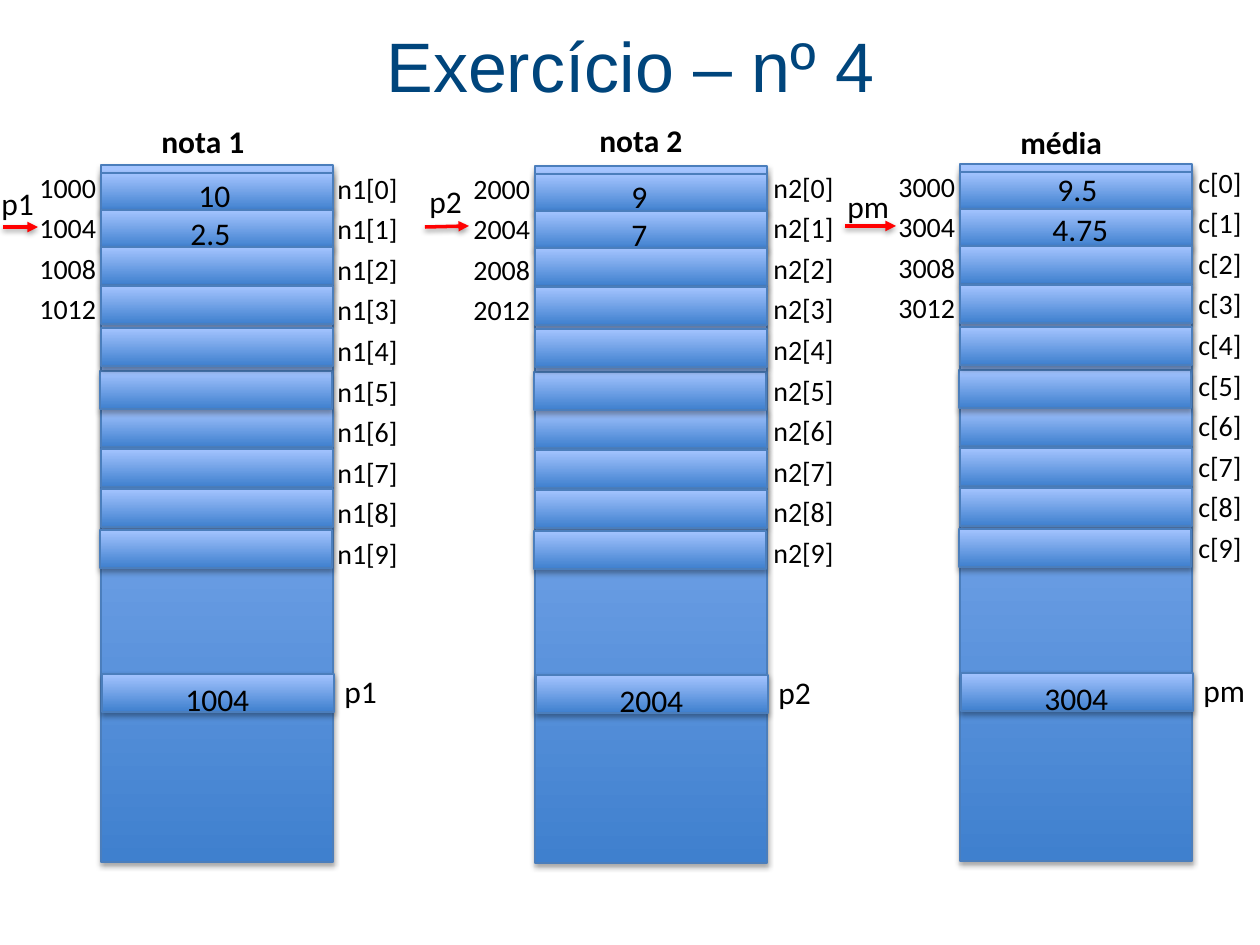
from dataclasses import dataclass

from lxml import etree
from pptx import Presentation
from pptx.dml.color import RGBColor
from pptx.enum.shapes import MSO_CONNECTOR, MSO_SHAPE
from pptx.enum.text import MSO_ANCHOR, PP_ALIGN
from pptx.oxml.ns import qn
from pptx.util import Emu, Pt

RECT = MSO_SHAPE.RECTANGLE
STRAIGHT = MSO_CONNECTOR.STRAIGHT
TOP, MIDDLE, BOTTOM = MSO_ANCHOR.TOP, MSO_ANCHOR.MIDDLE, MSO_ANCHOR.BOTTOM
LEFT, CENTER = PP_ALIGN.LEFT, PP_ALIGN.CENTER

PX = 914400 / 126
BLACK, NAVY, RED = "000000", "00457C", "FF0000"
DARK_BLUE, LIGHT_BLUE, EDGE = "3F80CE", "A4C4FF", "4B7EBC"

COLUMN_W, COLUMN_H, CELL_H = 232, 697, 38
LINE_H = 50
# (left, top) of the cells inside a column, from back to front
CELLS = [(0, 8), (0, 45), (0, 82), (0, 121), (0, 244), (-1, 206),
         (0, 163), (0, 284), (0, 324), (-1, 365), (1, 509)]


def px(n):
    return Emu(round(n * PX))


def rgb(value):
    return RGBColor.from_string(value)


@dataclass
class Column:
    heading: str
    heading_at: tuple
    array: str
    array_at: tuple
    pointer: str
    pointer_at: tuple
    arrow: tuple
    address: int
    at: tuple
    values: list  # boxes: (left, top, width, [(text, indent), ...])


COLUMNS = [
    Column("nota 2", (587, 115), "n2", (761, 164), "p2", (417, 176),
           (425, 227, 469, 226), 2000, (535, 166),
           [(583, 171, 122, [("9", 36), ("7", 36)])]),
    Column("nota 1", (149, 116), "n1", (325, 165), "p1", (-11, 178),
           (3, 227, 38, 227), 1000, (101, 165),
           [(150, 170, 122, [("10", 36), ("2.5", 28)])]),
    Column("média", (1008, 117), "c", (1186, 159), "pm", (835, 181),
           (845, 226, 896, 226), 3000, (960, 164),
           [(1009, 164, 107, [("9.5", 36)]),
            (1012, 204, 120, [("4.75", 28)])]),
]


class Slide:
    def __init__(self, prs, font="Calibri"):
        self.s = prs.slides.add_slide(prs.slide_layouts[6])
        self.font = font
        self.shapes = self.s.shapes

    def start_group(self):
        self.shapes = self.s.shapes.add_group_shape().shapes

    def end_group(self):
        self.shapes = self.s.shapes

    def shadow(self, sp, distance, alpha):
        """Drop a soft black shadow straight down."""
        spPr = sp._element.spPr
        effects = spPr.find(qn("a:effectLst"))
        if effects is None:
            effects = etree.SubElement(spPr, qn("a:effectLst"))
        outer = etree.SubElement(effects, qn("a:outerShdw"), blurRad="40000",
                                 dist=str(distance), dir="5400000",
                                 rotWithShape="0")
        color = etree.SubElement(outer, qn("a:srgbClr"), val=BLACK)
        etree.SubElement(color, qn("a:alpha"), val=str(alpha * 1000))

    def block(self, x, y, w, h):
        """Add a memory block with a vertical blue gradient."""
        sp = self.shapes.add_shape(RECT, px(x), px(y), px(w), px(h))
        sp.fill.gradient()
        sp.fill.gradient_angle = 90
        for stop, color in zip(sp.fill.gradient_stops, (DARK_BLUE, LIGHT_BLUE)):
            stop.color.rgb = rgb(color)
        sp.line.color.rgb = rgb(EDGE)
        sp.line.width = Pt(0.75)
        sp.shadow.inherit = False
        self.shadow(sp, 23000, 35)

    def text(self, x, y, w, h, lines, size=18, color=BLACK, font=None,
             bold=False, align=LEFT, anchor=TOP, after=0):
        """Add one paragraph for each (text, indent) pair."""
        tf = self.shapes.add_textbox(px(x), px(y), px(w), px(h)).text_frame
        tf.word_wrap = True
        tf.vertical_anchor = anchor
        for i, (line, indent) in enumerate(lines):
            p = tf.add_paragraph() if i else tf.paragraphs[0]
            p.text = line
            p.alignment = align
            if indent:
                p._p.get_or_add_pPr().set("marL", str(px(indent)))
            if after:
                p.space_after = Pt(after)
            f = p.runs[0].font
            f.name, f.size, f.bold = font or self.font, Pt(size), bold
            f.color.rgb = rgb(color)

    def arrow(self, x1, y1, x2, y2):
        c = self.shapes.add_connector(STRAIGHT, px(x1), px(y1), px(x2), px(y2))
        c.line.color.rgb = rgb(RED)
        c.line.width = Pt(2)
        etree.SubElement(c.line._get_or_add_ln(), qn("a:tailEnd"),
                         type="triangle")
        self.shadow(c, 20000, 38)

    def column(self, col):
        x, y = col.at
        self.start_group()
        self.block(x, y, COLUMN_W, COLUMN_H)
        for dx, dy in CELLS:
            self.block(x + dx, y + dy, COLUMN_W, CELL_H)
        self.text(*col.array_at, 107, 416,
                  [(f"{col.array}[{i}]", 0) for i in range(10)],
                  size=16, after=4)
        self.text(x - 74, y - 1, 107, 219,
                  [(str(col.address + 4 * i), 0) for i in range(4)],
                  size=16, after=4)
        self.text(x + 195, y + 501, 110, LINE_H, [(col.pointer, 36)])
        self.text(x + 72, y + 470, 122, 89, [(str(col.address + 4), 0)],
                  anchor=BOTTOM)
        self.arrow(*col.arrow)
        self.text(*col.pointer_at, 86, LINE_H, [(col.pointer, 0)])
        for left, top, width, lines in col.values:
            self.text(left, top, width, LINE_H * len(lines), lines)
        self.end_group()
        self.text(*col.heading_at, 212, LINE_H, [(col.heading, 0)], bold=True)


def main():
    prs = Presentation()
    prs.slide_width, prs.slide_height = px(1260), px(945)
    slide = Slide(prs)
    slide.text(44, 4, 1173, 120, [("Exercício – nº 4", 0)], size=40,
               color=NAVY, font="Arial", align=CENTER, anchor=MIDDLE)
    for col in COLUMNS:
        slide.column(col)
    prs.save("out.pptx")


if __name__ == "__main__":
    main()
